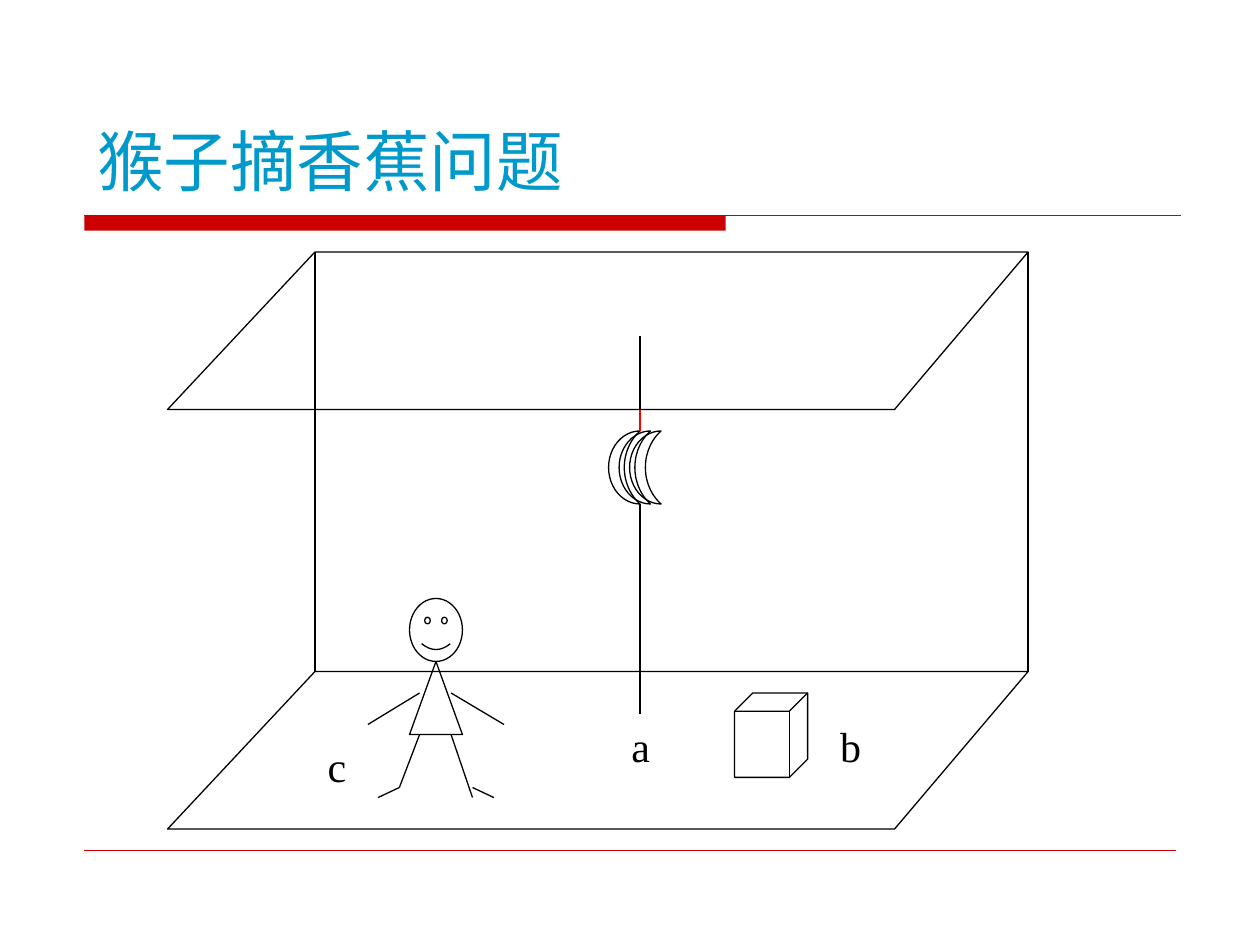
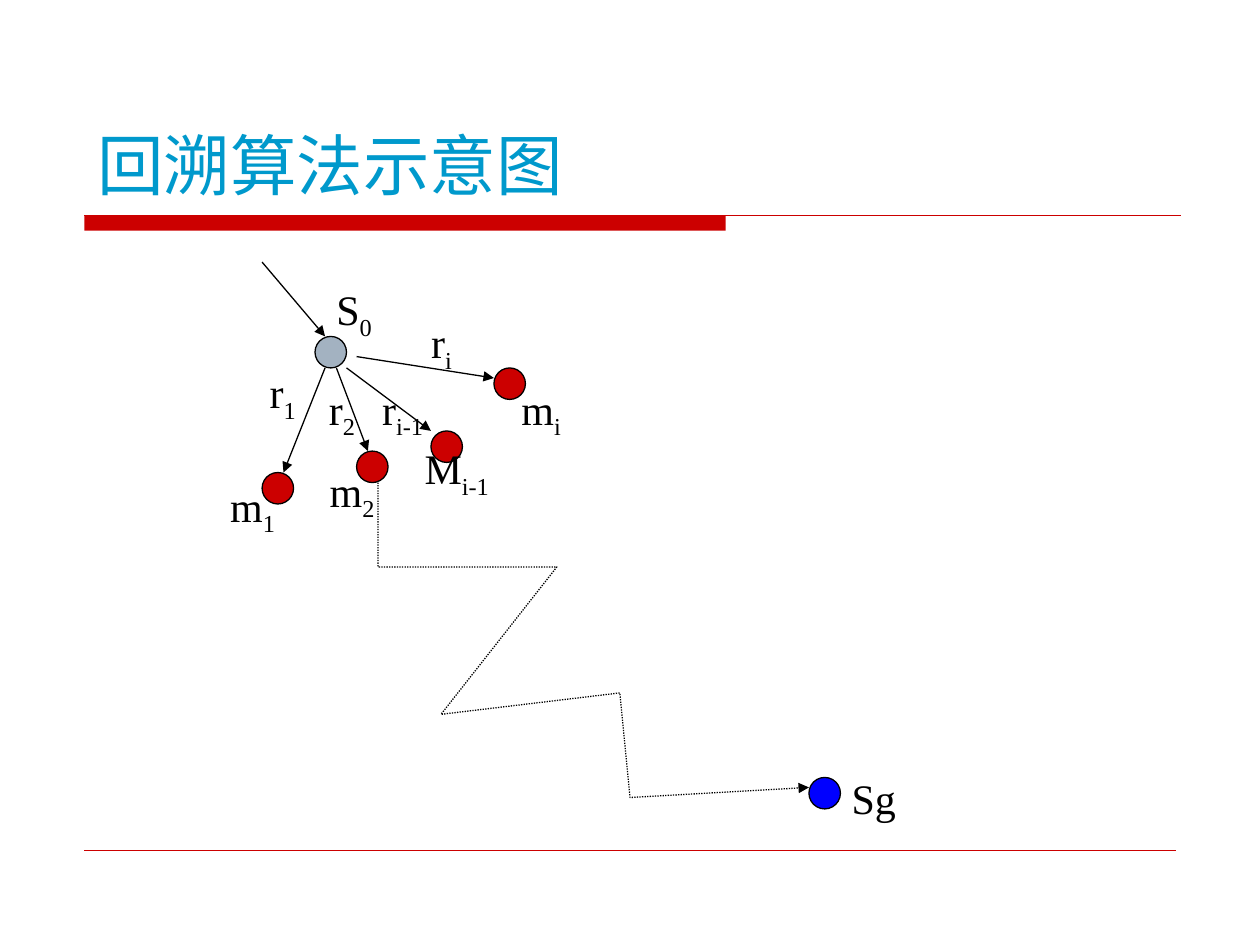
from dataclasses import dataclass

from lxml import etree
from pptx import Presentation
from pptx.dml.color import RGBColor
from pptx.enum.dml import MSO_LINE_DASH_STYLE
from pptx.enum.shapes import MSO_CONNECTOR, MSO_SHAPE
from pptx.enum.text import MSO_ANCHOR, MSO_AUTO_SIZE, PP_ALIGN
from pptx.oxml.ns import qn
from pptx.util import Inches, Pt

STRAIGHT = MSO_CONNECTOR.STRAIGHT
RECTANGLE = MSO_SHAPE.RECTANGLE
OVAL = MSO_SHAPE.OVAL
MOON = MSO_SHAPE.MOON
CUBE = MSO_SHAPE.CUBE
SMILEY = MSO_SHAPE.SMILEY_FACE
TRIANGLE = MSO_SHAPE.ISOSCELES_TRIANGLE
DOTTED = MSO_LINE_DASH_STYLE.ROUND_DOT
MIDDLE, BOTTOM = MSO_ANCHOR.MIDDLE, MSO_ANCHOR.BOTTOM
LEFT, CENTER = PP_ALIGN.LEFT, PP_ALIGN.CENTER
NO_AUTO_SIZE = MSO_AUTO_SIZE.NONE


@dataclass(frozen=True)
class Theme:
    title: RGBColor = RGBColor(0x00, 0x99, 0xCC)
    accent: RGBColor = RGBColor(0xCC, 0x00, 0x00)
    ink: RGBColor = RGBColor(0x00, 0x00, 0x00)
    hook: RGBColor = RGBColor(0xFF, 0x00, 0x00)
    start: RGBColor = RGBColor(0xA3, 0xB2, 0xC1)
    goal: RGBColor = RGBColor(0x00, 0x00, 0xFF)
    title_font: str = "DejaVu Sans"
    label_font: str = "Times New Roman"
    title_size: Pt = Pt(38)
    label_size: Pt = Pt(24)
    line_width: Pt = Pt(0.75)
    hairline: Pt = Pt(0.25)


THEME = Theme()


@dataclass(frozen=True)
class Box:
    left: float
    top: float
    width: float
    height: float

    def point(self, x, y):
        return Inches(self.left + x), Inches(self.top + y)

    def inner(self, x, y, width, height):
        return Box(self.left + x, self.top + y, width, height)

    def frame(self):
        return tuple(Inches(n) for n in (self.left, self.top, self.width, self.height))


def style_shape(shape, fill=None):
    shape.shadow.inherit = False
    if fill is None:
        shape.fill.background()
    else:
        shape.fill.solid()
        shape.fill.fore_color.rgb = fill
    shape.line.color.rgb = THEME.ink
    shape.line.width = THEME.line_width
    return shape


def add_figure(slide, kind, box, fill=None):
    return style_shape(slide.shapes.add_shape(kind, *box.frame()), fill)


def add_outline(slide, box, points, close=True):
    start, *others = [box.point(*point) for point in points]
    builder = slide.shapes.build_freeform(*start)
    builder.add_line_segments(others, close=close)
    return style_shape(builder.convert_to_shape())


def add_arrowhead(shape):
    line = shape.line._get_or_add_ln()
    etree.SubElement(line, qn("a:tailEnd"), type="triangle")


def add_line(slide, box, start, end, color=THEME.ink, width=THEME.line_width):
    connector = slide.shapes.add_connector(STRAIGHT, *box.point(*start), *box.point(*end))
    connector.line.color.rgb = color
    connector.line.width = width
    etree.SubElement(connector._element.spPr, qn("a:effectLst"))
    return connector


def add_label(slide, box, text, subscript=""):
    frame = slide.shapes.add_textbox(*box.frame()).text_frame
    frame.word_wrap = False
    frame.vertical_anchor = MIDDLE
    paragraph = frame.paragraphs[0]
    paragraph.alignment = CENTER
    paragraph.font.name = THEME.label_font
    paragraph.font.size = THEME.label_size
    paragraph.font.color.rgb = THEME.ink
    paragraph.add_run().text = text
    if subscript:
        run = paragraph.add_run()
        run.text = subscript
        run._r.get_or_add_rPr().set("baseline", "-25000")


def add_titled_slide(presentation, text, title_box):
    slide = presentation.slides.add_slide(presentation.slide_layouts[5])
    page = Box(0.67, 1.71, 8.7, 5.04)
    bar = add_figure(slide, RECTANGLE, page.inner(0, 0, 5.09, 0.12), THEME.accent)
    bar.line.fill.background()
    add_line(slide, page, (0, 0), (page.width, 0), THEME.accent)
    add_line(slide, page, (0, page.height), (8.66, page.height), THEME.accent, THEME.hairline)

    title = slide.shapes.title
    title.left, title.top, title.width, title.height = title_box.frame()
    frame = title.text_frame
    frame.text = text
    frame.auto_size = NO_AUTO_SIZE
    frame.vertical_anchor = BOTTOM
    paragraph = frame.paragraphs[0]
    paragraph.alignment = LEFT
    paragraph.font.name = THEME.title_font
    paragraph.font.size = THEME.title_size
    paragraph.font.color.rgb = THEME.title
    return slide


def draw_room(slide, box):
    back_left, front_right, depth = 1.17, 5.77, 1.25
    floor = box.height - depth
    for y in (0, floor):
        add_outline(slide, box, [
            (back_left, y), (0, y + depth), (front_right, y + depth), (box.width, y),
        ])
    add_line(slide, box, (box.width, 0), (box.width, floor))
    add_line(slide, box, (back_left, floor), (back_left, depth))
    add_line(slide, box, (back_left, depth), (back_left, 0))


def draw_bananas(slide, box):
    rope = 0.25
    banana_top, banana_height = 0.75, 0.58
    for index in range(3):
        add_figure(slide, MOON, box.inner(index / 12, banana_top, 0.25, banana_height))
    add_line(slide, box, (rope, banana_top), (rope, 0))
    add_line(slide, box, (rope, banana_top + banana_height), (rope, box.height))
    add_line(slide, box, (rope, banana_top), (rope, 0.58), THEME.hook)


def draw_monkey(slide, box):
    add_figure(slide, SMILEY, box.inner(0.33, 0, 0.42, 0.5))
    add_figure(slide, TRIANGLE, box.inner(0.33, 0.5, 0.42, 0.58))
    limbs = [
        ((0.41, 1.08), (0.25, 1.5)),
        ((0.66, 1.08), (0.83, 1.58)),
        ((0.41, 0.75), (0, 1)),
        ((0.66, 0.75), (1.08, 1)),
        ((0.25, 1.5), (0.08, 1.58)),
        ((0.83, 1.5), (1, 1.58)),
    ]
    for start, end in limbs:
        add_line(slide, box, start, end)


def draw_monkey_problem(slide, box):
    draw_room(slide, box)
    add_figure(slide, CUBE, box.inner(4.5, 3.5, 0.58, 0.67))
    draw_bananas(slide, box.inner(3.5, 0.67, 0.42, 3))
    draw_monkey(slide, box.inner(1.59, 2.75, 1.08, 1.58))
    for text, x, y in [("a", 3.58, 3.67), ("b", 5.24, 3.67), ("c", 1.17, 3.83)]:
        add_label(slide, box.inner(x, y, 0.35, 0.5), text)


def draw_backtracking(slide, box):
    nodes = [
        (1, 0.67, THEME.start),
        (0.58, 1.75, THEME.accent),
        (1.33, 1.58, THEME.accent),
        (1.92, 1.42, THEME.accent),
        (2.42, 0.92, THEME.accent),
        (4.92, 4.17, THEME.goal),
    ]
    for x, y, color in nodes:
        add_figure(slide, OVAL, box.inner(x, y, 0.25, 0.25), color)

    arrows = [
        ((0.58, 0.08), (1.08, 0.67)),
        ((1.08, 0.92), (0.75, 1.75)),
        ((1.17, 0.92), (1.42, 1.58)),
        ((1.25, 0.92), (1.92, 1.42)),
        ((1.33, 0.83), (2.42, 1)),
    ]
    for start, end in arrows:
        add_arrowhead(add_line(slide, box, start, end))

    search_route = add_outline(slide, box, [
        (1.5, 1.83), (1.5, 2.5), (2.92, 2.5), (2, 3.67),
        (3.42, 3.5), (3.5, 4.33), (4.92, 4.25),
    ], close=False)
    search_route.line.dash_style = DOTTED
    add_arrowhead(search_route)

    labels = [
        ("S", "0", 1.07, 0.2, 0.48),
        ("m", "1", 0.19, 1.76, 0.63),
        ("m", "2", 0.98, 1.64, 0.63),
        ("M", "i-1", 1.69, 1.46, 0.87),
        ("m", "i", 2.48, 0.99, 0.63),
        ("r", "1", 0.43, 0.86, 0.63),
        ("r", "2", 0.9, 0.99, 0.63),
        ("r", "i-1", 1.3, 0.99, 0.79),
        ("r", "i", 1.69, 0.46, 0.63),
    ]
    for text, subscript, x, y, width in labels:
        add_label(slide, box.inner(x, y, width, 0.56), text, subscript)
    add_label(slide, box.inner(5.16, 4.08, 0.55, 0.5), "Sg")


def main():
    presentation = Presentation()
    presentation.slide_width, presentation.slide_height = Inches(10), Inches(7.5)

    slide = add_titled_slide(presentation, "猴子摘香蕉问题", Box(0.67, 0.91, 8.58, 0.73))
    draw_monkey_problem(slide, Box(1.33, 2, 6.83, 4.58))

    slide = add_titled_slide(presentation, "回溯算法示意图", Box(0.67, 0.84, 8.5, 0.83))
    draw_backtracking(slide, Box(1.5, 2, 5.75, 4.58))

    presentation.save("out.pptx")


if __name__ == "__main__":
    main()
